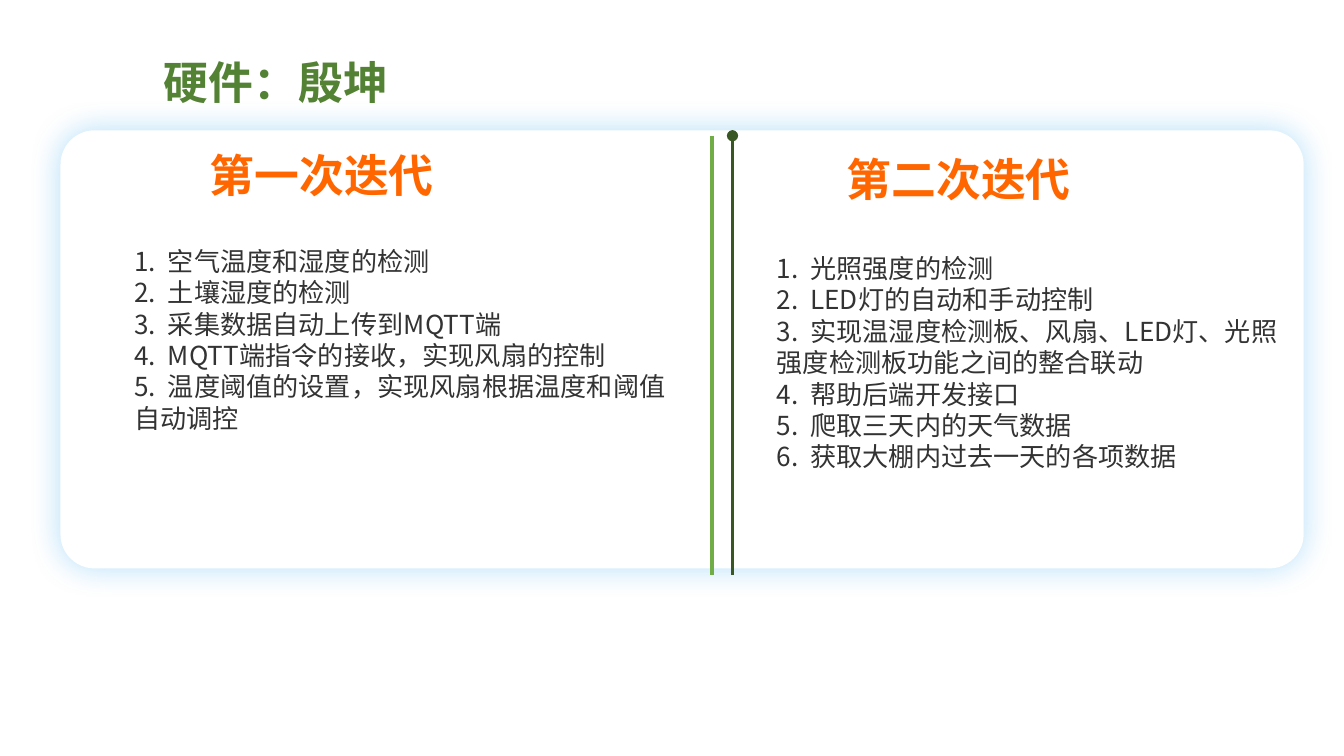
from dataclasses import dataclass
from lxml.etree import SubElement
from pptx import Presentation
from pptx.dml.color import RGBColor
from pptx.enum.shapes import MSO_CONNECTOR as Conn, MSO_SHAPE as Kind
from pptx.enum.text import MSO_ANCHOR as Anchor, MSO_AUTO_SIZE as Fit, PP_ALIGN as Align
from pptx.oxml.ns import qn
from pptx.util import Inches, Pt

FONT = "Noto Sans CJK SC"
COLORS = {
    "title": "548235", "head": "FF6600", "text": "333333",
    "card": "FFFFFF", "glow": "0D98F0", "light": "70AD47", "dark": "385723",
}
COLS, ROWS = 100, 56.25  # square grid over the slide
CELL = Inches(0.1)


@dataclass
class Box:
    col: float
    row: float
    wide: float
    high: float


@dataclass
class Panel:
    head: str
    spot: Box
    items: list[str]
    area: Box


@dataclass
class Rule:
    col: float
    color: str
    width: float
    dot: bool = False


PANELS = [
    Panel("第一次迭代", Box(14.6, 10.5, 24, 5), [
        "空气温度和湿度的检测",
        "土壤湿度的检测",
        "采集数据自动上传到MQTT端",
        "MQTT端指令的接收，实现风扇的控制",
        "温度阈值的设置，实现风扇根据温度和阈值自动调控",
    ], Box(9, 17.7, 42.6, 15.1)),
    Panel("第二次迭代", Box(62, 10.8, 24, 5), [
        "光照强度的检测",
        "LED灯的自动和手动控制",
        "实现温湿度检测板、风扇、LED灯、光照强度检测板功能之间的整合联动",
        "帮助后端开发接口",
        "爬取三天内的天气数据",
        "获取大棚内过去一天的各项数据",
    ], Box(56.8, 18.2, 41, 17.5)),
]
RULES = [Rule(53, "light", 2.25), Rule(54.5, "dark", 2, dot=True)]
TOP, END = 10.1, 42.8  # rows where the rules start and stop


def rgb(name: str) -> RGBColor:
    return RGBColor.from_string(COLORS[name])


def grid(*cells: float) -> list[int]:
    return [round(CELL * n) for n in cells]


def place(shape, box: Box) -> None:
    shape.left, shape.top, shape.width, shape.height = grid(
        box.col, box.row, box.wide, box.high)


def write(shape, box: Box, lines: list[str], size: float, color: str,
          bold: bool = False, pad: tuple = (0, 0), lead: float = 0) -> None:
    """Fill a placeholder with plain left-aligned lines."""
    place(shape, box)
    frame = shape.text_frame
    frame.word_wrap, frame.auto_size = True, Fit.NONE
    frame.vertical_anchor = Anchor.MIDDLE
    frame.margin_top, frame.margin_bottom = grid(*pad)
    for i, line in enumerate(lines):
        par = frame.add_paragraph() if i else frame.paragraphs[0]
        par.alignment = Align.LEFT
        par.space_before = par.space_after = Pt(0)
        if lead:
            par.line_spacing = Pt(lead)
        props = par._p.get_or_add_pPr()
        props.set("marL", "0")
        props.set("indent", "0")
        SubElement(props, qn("a:buNone"))
        run = par.add_run()
        run.text = line
        font = run.font
        font.size, font.bold, font.name = Pt(size), bold, FONT
        font.color.rgb = rgb(color)
        SubElement(font._element, qn("a:ea"), typeface=FONT)


def draw_card(slide, box: Box) -> None:
    """Rounded white card with a soft blue glow, behind everything."""
    card = slide.shapes.add_shape(
        Kind.ROUNDED_RECTANGLE, *grid(box.col, box.row, box.wide, box.high))
    card.adjustments[0] = 0.078
    card.fill.solid()
    card.fill.fore_color.rgb = rgb("card")
    card.line.fill.background()
    card.shadow.inherit = False
    glow = SubElement(card._element.spPr.find(qn("a:effectLst")), qn("a:outerShdw"),
                      blurRad=str(Pt(17)), dist="0", dir="0",
                      algn="ctr", rotWithShape="0")
    tint = SubElement(glow, qn("a:srgbClr"), val=COLORS["glow"])
    SubElement(tint, qn("a:alpha"), val="30000")
    slide.shapes._spTree.insert(2, card._element)


def draw_rule(slide, rule: Rule) -> None:
    ends = (END, TOP) if rule.dot else (TOP, END)
    line = slide.shapes.add_connector(
        Conn.STRAIGHT, *grid(rule.col, ends[0], rule.col, ends[1]))
    line.line.color.rgb = rgb(rule.color)
    line.line.width = Pt(rule.width)
    if rule.dot:
        SubElement(line.line._get_or_add_ln(), qn("a:tailEnd"), type="oval")
    SubElement(line._element.spPr, qn("a:effectLst"))


def main() -> None:
    deck = Presentation()
    deck.slide_width, deck.slide_height = grid(COLS, ROWS)
    slide = deck.slides.add_slide(deck.slide_layouts.get_by_name("Comparison"))
    title, *slots = [s for s in slide.placeholders
                     if s.placeholder_format.idx < 10]

    # Card and title
    draw_card(slide, Box(4.5, 9.7, 92.5, 32.6))
    write(title, Box(11.2, 3.6, 26.2, 5), ["硬件：殷坤"], 24, "title", bold=True)

    # Two panels, each a heading and a numbered list
    for panel, head, body in zip(PANELS, slots[::2], slots[1::2]):
        write(head, panel.spot, [panel.head], 24, "head", bold=True)
        lines = [f"{n}.  {item}" for n, item in enumerate(panel.items, 1)]
        write(body, panel.area, lines, 14, "text", pad=(0.5, 0.5), lead=16.8)

    # Divider rules
    for rule in RULES:
        draw_rule(slide, rule)

    deck.save("out.pptx")


if __name__ == "__main__":
    main()
